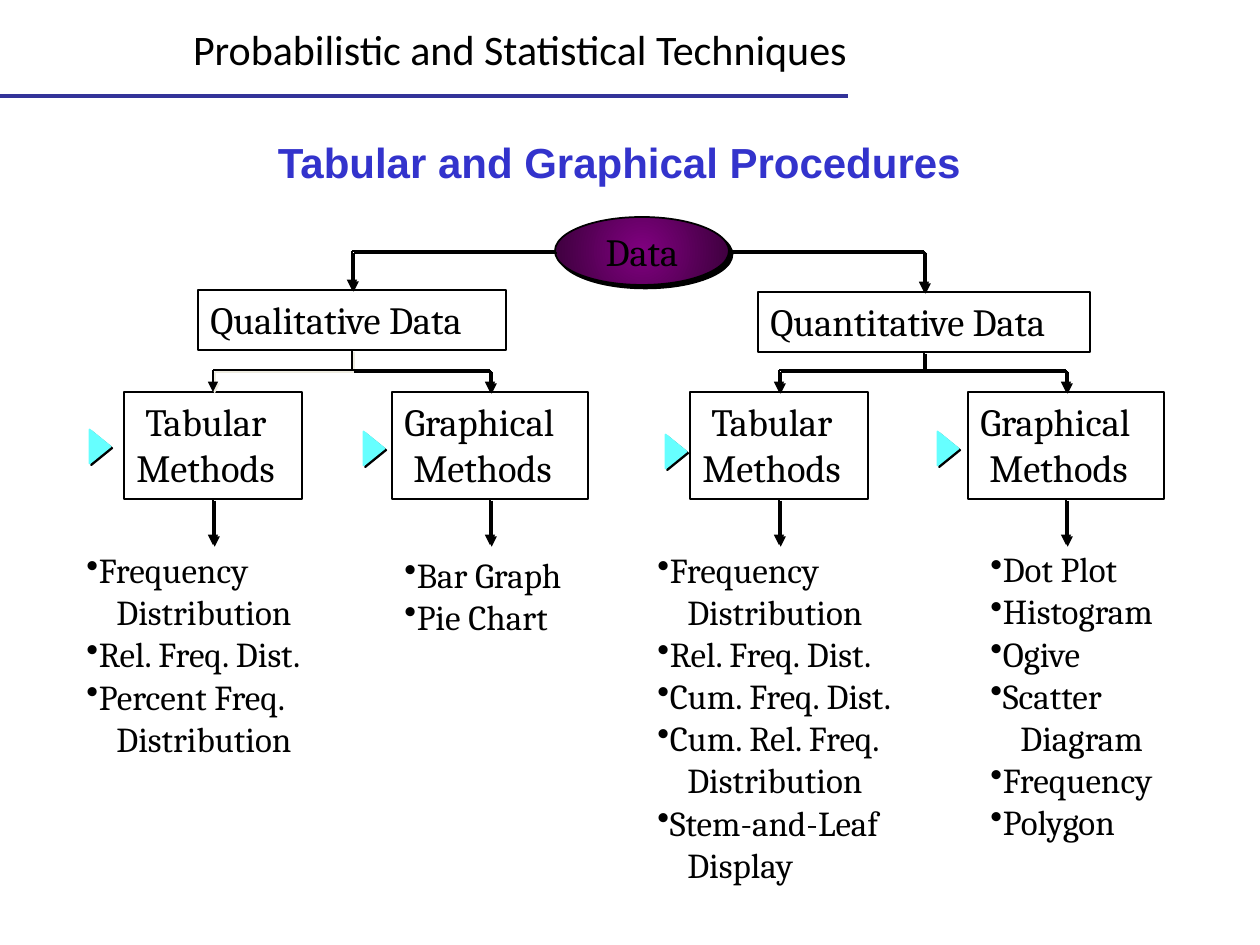
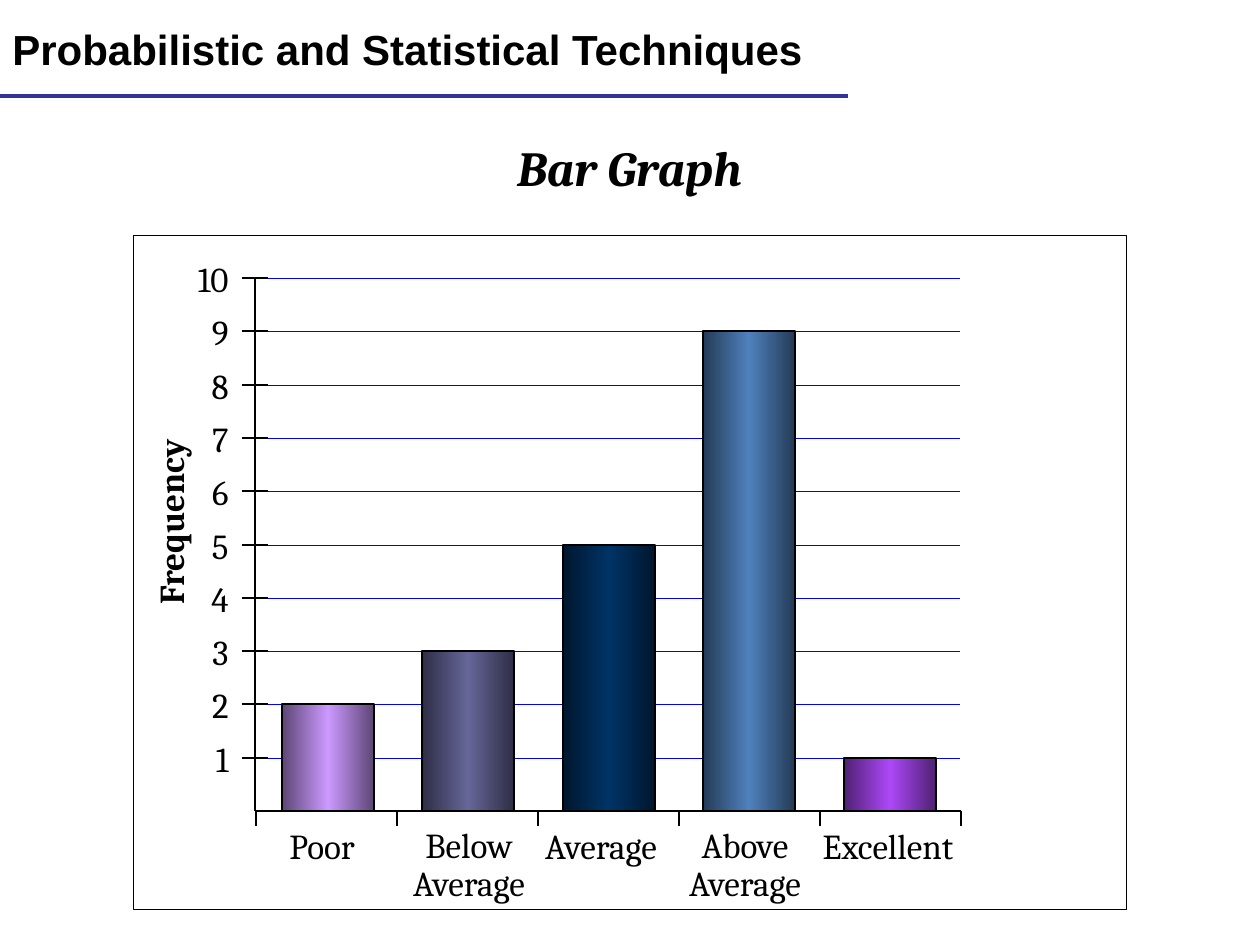
from copy import deepcopy
from pptx import Presentation
from pptx.dml.color import RGBColor
from pptx.enum.shapes import MSO_CONNECTOR, MSO_SHAPE
from pptx.enum.text import MSO_ANCHOR, PP_ALIGN
from pptx.oxml import parse_xml
from pptx.oxml.ns import nsdecls
from pptx.util import Emu, Pt

PX = 914400 / 126
NS = nsdecls("a")
BLACK, NAVY, BLUE, CYAN = "000000", "333399", "3333CC", "66FFFF"
LEFT, MID, RIGHT = PP_ALIGN.LEFT, PP_ALIGN.CENTER, PP_ALIGN.RIGHT
COURSE = "Probabilistic and Statistical Techniques"
rgb = RGBColor.from_string
SHADE = ('<a:effectLst %s><a:outerShdw dist="%d" dir="2700000" algn="ctr" '
         'rotWithShape="0"><a:srgbClr val="%s"/></a:outerShdw></a:effectLst>')
GRAD = '<a:gradFill %s><a:gsLst>%s</a:gsLst>%s</a:gradFill>'
STOP = '<a:gs pos="%d"><a:srgbClr val="%s"/></a:gs>'
ARROW = parse_xml(f'<a:tailEnd {NS} type="triangle"/>')
DOT = parse_xml(f'<a:buChar {NS} char="•"/>')


def box(slide, at, rows=(), kind=None, size=20, font="Cambria", ink=BLACK, bold=False,
        slant=False, align=LEFT, mid=False, wrap=False, fill=None, edge=BLACK, width=1):
    """A text box, or a preset shape when kind is given; a row is (text, indent) or a string."""
    place = [Emu(round(n * PX)) for n in at]
    if kind is None:
        item = slide.shapes.add_textbox(*place)
    else:
        item = slide.shapes.add_shape(kind, *place)
        item.shadow.inherit = False
        item.line.color.rgb = rgb(edge)
        item.line.width = Pt(width)
        if fill is None:
            item.fill.background()
        elif fill.startswith("<"):
            item._element.spPr.insert(2, parse_xml(fill))
        else:
            item.fill.solid()
            item.fill.fore_color.rgb = rgb(fill)
    frame = item.text_frame
    frame.word_wrap = wrap
    frame.vertical_anchor = MSO_ANCHOR.MIDDLE if mid else MSO_ANCHOR.TOP
    for i, row in enumerate(rows):
        text, indent = (row, 0) if isinstance(row, str) else row
        para = frame.add_paragraph() if i else frame.paragraphs[0]
        para.alignment = align
        prop = para._p.get_or_add_pPr()
        prop.set("marL", str(round(indent * PX)))
        prop.set("indent", "0")
        if text.startswith("•"):
            prop.append(deepcopy(DOT))
        run = para.add_run()
        run.text = text.lstrip("•")
        run.font.size, run.font.name = Pt(size), font
        run.font.bold, run.font.italic = bold, slant
        run.font.color.rgb = rgb(ink)
    return item


def line(slide, x1, y1, x2, y2, ink=BLACK, width=1, arrow=False, shade=None):
    """A straight line, with an arrowhead or a hard shadow if asked."""
    ends = [Emu(round(n * PX)) for n in (x1, y1, x2, y2)]
    item = slide.shapes.add_connector(MSO_CONNECTOR.STRAIGHT, *ends)
    item.line.color.rgb = rgb(ink)
    item.line.width = Pt(width)
    if arrow:
        item.line._get_or_add_ln().append(deepcopy(ARROW))
    glow = SHADE % (NS, 17960, shade) if shade else f"<a:effectLst {NS}/>"
    item._element.spPr.append(parse_xml(glow))
    return item


deck = Presentation()
deck.slide_width, deck.slide_height = Emu(round(1260 * PX)), Emu(round(945 * PX))
tree, graph = [deck.slides.add_slide(deck.slide_layouts[6]) for _ in range(2)]

# Course title and rule on both slides
for slide, font, bold, align in ((tree, "Calibri", False, MID), (graph, "Arial", True, LEFT)):
    box(slide, (0, 0, 1040, 98), [COURSE], size=24, font=font, bold=bold,
        align=align, mid=True, wrap=True)
    line(slide, 0, 96, 848, 96, NAVY, 2.25)

# Slide 1: heading and root
box(tree, (84, 106, 1071, 112), ["Tabular and Graphical Procedures"], size=24, font="Arial",
    ink=BLUE, bold=True, align=MID, mid=True, wrap=True)
core = GRAD % (NS, STOP % (0, "800080") + STOP % (100000, "3B003B"),
               '<a:path path="circle"><a:fillToRect l="50000" t="50000" r="50000" b="50000"/></a:path>')
root = box(tree, (555, 217, 174, 68), ["Data"], MSO_SHAPE.OVAL, size=22,
           align=MID, mid=True, fill=core)
props = root._element.spPr
props.replace(props[-1], parse_xml(SHADE % (NS, 35920, BLACK)))

# Branches: name, box left, top, width, root side, child lefts, shadow of the first half
branches = (("Qualitative Data", 198, 290, 308, 555, (124, 392), "EEECE1"),
            ("Quantitative Data", 758, 292, 332, 729, (690, 968), BLACK))
kinds = (((" Tabular".strip(), 9), "Methods"), 178), (("Graphical", ("Methods", 9)), 196)
for name, left, top, wide, side, lefts, tint in branches:
    hub = left + wide // 2
    kin = box(tree, (left, top, wide, 60), [name], MSO_SHAPE.RECTANGLE, size=22)
    line(tree, side, 251, hub, 251, shade=BLACK)
    line(tree, hub, 251, hub, top, arrow=True, shade=BLACK).end_connect(kin, 0)
    line(tree, hub, top + 60, hub, 370, shade=tint).begin_connect(kin, 2)
    for x, (rows, w), shade in zip(lefts, kinds, (tint, BLACK)):
        node = box(tree, (x, 392, w, 107), rows, MSO_SHAPE.RECTANGLE, size=22)
        axis = x + w // 2
        line(tree, hub, 370, axis, 370, shade=shade)
        line(tree, axis, 370, axis, 392, arrow=True, shade=shade).end_connect(node, 0)
        line(tree, axis, 499, axis, 545, arrow=True, shade=BLACK).begin_connect(node, 2)

# Method lists
dist = ("Distribution", 30)
lists = (((74, 515, 278, 278),
          ("•Frequency", dist, "•Rel. Freq. Dist.", "•Percent Freq.", dist)),
         ((392, 501, 214, 189), ("•Bar Graph", "•Pie Chart")),
         ((645, 578, 278, 278),
          ("•Frequency", dist, "•Rel. Freq. Dist.", "•Cum. Freq. Dist.",
           "•Cum. Rel. Freq.", dist, "•Stem-and-Leaf", ("Display", 30))),
         ((978, 552, 221, 286),
          ("•Dot Plot", "•Histogram", "•Ogive", "•Scatter", ("Diagram", 30),
           "•Frequency", "•Polygon")))
for at, rows in lists:
    box(tree, at, rows, mid=True)

# Pointers beside the method boxes
for x, y in ((83, 436), (357, 438), (659, 441), (931, 438)):
    mark = box(tree, (x, y, 34, 21), kind=MSO_SHAPE.ISOSCELES_TRIANGLE, fill=CYAN, edge=CYAN)
    mark.rotation = 90
    props = mark._element.spPr
    props.replace(props[-1], parse_xml(SHADE % (NS, 17960, BLACK)))

# Slide 2: heading, frame and axis name
box(graph, (94, 115, 1071, 104), ["Bar Graph"], size=28, bold=True, slant=True,
    align=MID, mid=True, wrap=True)
box(graph, (134, 235, 993, 675), kind=MSO_SHAPE.RECTANGLE, width=0.5)
box(graph, (74, 494, 192, 54), ["Frequency"], bold=True).rotation = 270

# Value scale
BASE, STEP = 811, 53.3
for n in range(1, 11):
    y = BASE - round(n * STEP)
    line(graph, 246, y, 960, y, "0000FF", 0.25)
    line(graph, 242, y, 268, y)
    w = 43 if n < 10 else 60
    box(graph, (241 - w, y - 27, w, 54), [str(n)], align=RIGHT)

# Axes and category ticks
line(graph, 255, BASE, 961, BASE)
line(graph, 255, BASE, 255, 278)
for i in range(6):
    line(graph, 256 + 141 * i, BASE, 256 + 141 * i, 826)

# Bars: label rows, label centre, count, colour
bars = ((("Poor",), 322, 2, "CC99FF"), (("Below", "Average"), 469, 3, "666699"),
        (("Average",), 601, 5, "003366"), (("Above", "Average"), 745, 9, "4F81BD"),
        (("Excellent",), 888, 1, "AD48F8"))
for i, (rows, x, count, hue) in enumerate(bars):
    dark = "".join(f"{int(hue[k:k + 2], 16) * 46 // 100:02X}" for k in (0, 2, 4))
    stops = "".join(STOP % s for s in ((0, dark), (50000, hue), (100000, dark)))
    high = round(count * STEP)
    box(graph, (282 + 281 * i // 2, BASE - high, 92, high), kind=MSO_SHAPE.RECTANGLE,
        fill=GRAD % (NS, stops, '<a:lin ang="0" scaled="1"/>'))
    two = len(rows) > 1
    label = box(graph, (x - 78, 822 if two else 818, 156, 88 if two else 54), rows, align=MID)
    for para in label.text_frame.paragraphs:
        para.line_spacing = 0.9 if two else 1.0

deck.save("out.pptx")
